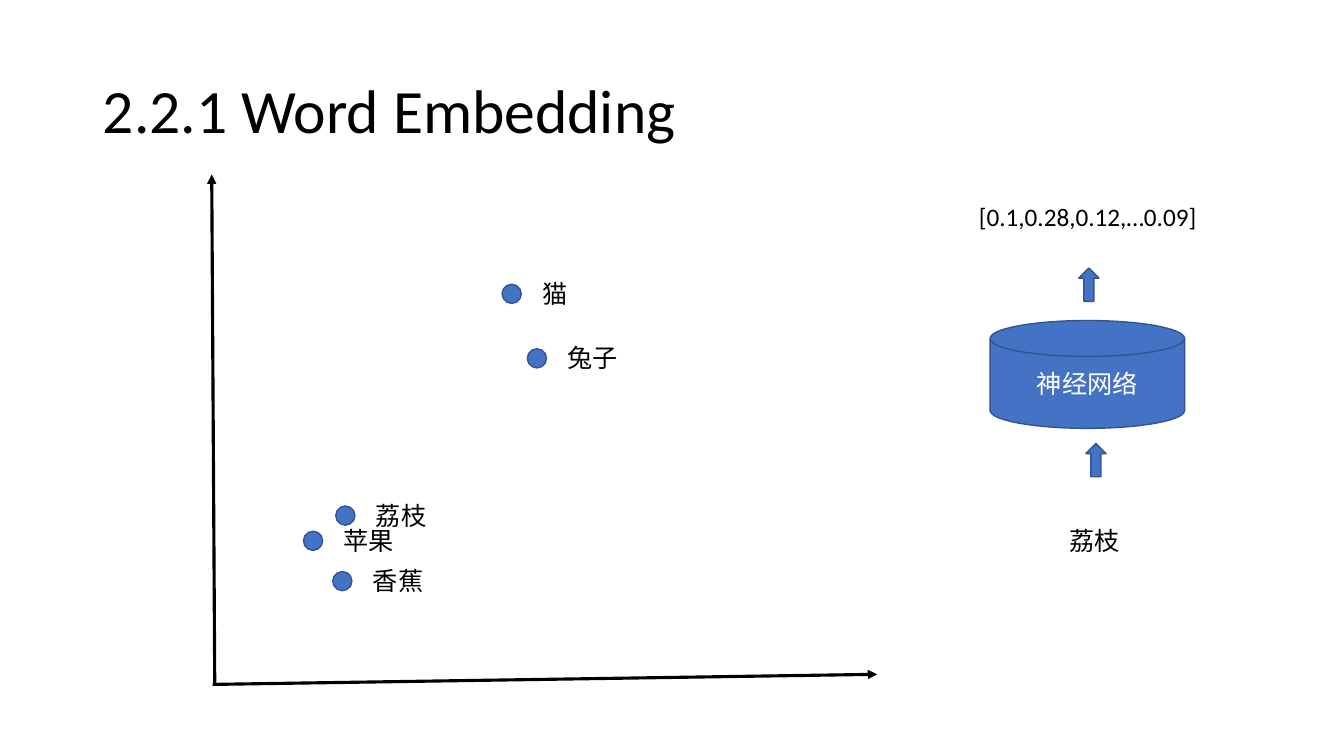
from lxml import etree
from pptx import Presentation, util as u
from pptx.dml.color import RGBColor
from pptx.enum import shapes, text
from pptx.oxml.ns import qn

Inches = u.Inches
Kind = shapes.MSO_SHAPE


def style(font, size, color):
    font.name = "Calibri"
    font.size = u.Pt(size)
    font.color.rgb = RGBColor.from_string(color)


def draw(kind, *box):
    """Add a blue preset shape; box is left, top, width, height in inches."""
    shape = slide.shapes.add_shape(kind, *map(Inches, box))
    shape.shadow.inherit = False
    shape.fill.solid()
    shape.fill.fore_color.rgb = RGBColor.from_string("4472C4")
    shape.line.color.rgb = RGBColor.from_string("325491")
    shape.line.width = u.Pt(1)
    return shape


deck = Presentation()
deck.slide_width, deck.slide_height = Inches(13.33), Inches(7.5)
slide = deck.slides.add_slide(deck.slide_layouts[5])

# Title
title = slide.shapes.title
title.left, title.top = Inches(0.92), Inches(0.4)
title.width, title.height = Inches(11.5), Inches(1.45)
title.text_frame.text = "2.2.1 Word Embedding"
title.text_frame.vertical_anchor = text.MSO_ANCHOR.MIDDLE
head = title.text_frame.paragraphs[0]
head.alignment = text.PP_ALIGN.LEFT
head.line_spacing = 0.9
style(head.font, 44, "000000")

# Axes
for ends in [(2.13, 6.79, 2.1, 1.73), (2.11, 6.79, 8.7, 6.69)]:
    axis = slide.shapes.add_connector(
        shapes.MSO_CONNECTOR.STRAIGHT, *map(Inches, ends))
    axis.line.color.rgb = RGBColor.from_string("000000")
    axis.line.width = u.Pt(2.25)
    tip = etree.SubElement(axis.line._get_or_add_ln(), qn("a:tailEnd"))
    tip.set("type", "triangle")
    etree.SubElement(axis._element.spPr, qn("a:effectLst"))

# Word points, each with its label to the right
words = [("苹果", 3.01, 5.27, 0.71), ("香蕉", 3.3, 5.67, 0.71),
         ("荔枝", 3.33, 5.02, 0.71), ("猫", 4.98, 2.82, 0.45),
         ("兔子", 5.23, 3.46, 0.71)]
labels = [("荔枝", 10.51, 5.16, 0.71),
          ("[0.1,0.28,0.12,…0.09]", 9.61, 1.95, 2.38)]
for word, left, top, width in words:
    draw(Kind.OVAL, left, top, 0.19, 0.19)
    labels.append((word, left + 0.3, top - 0.11, width))

# Network with its input and output arrows
disk = draw(Kind.FLOWCHART_MAGNETIC_DISK, 9.82, 3.18, 1.93, 1.07)
disk.text_frame.text = "神经网络"
disk.text_frame.vertical_anchor = text.MSO_ANCHOR.MIDDLE
name = disk.text_frame.paragraphs[0]
name.alignment = text.PP_ALIGN.CENTER
style(name.font, 18, "FFFFFF")
for left, top in [(10.77, 4.4), (10.7, 2.66)]:
    draw(Kind.UP_ARROW, left, top, 0.2, 0.33)

# Labels
for word, left, top, width in labels:
    box = slide.shapes.add_textbox(*map(Inches, (left, top, width, 0.4)))
    frame = box.text_frame
    frame.word_wrap = False
    frame.auto_size = text.MSO_AUTO_SIZE.SHAPE_TO_FIT_TEXT
    frame.text = word
    style(frame.paragraphs[0].font, 18, "000000")

deck.save("out.pptx")
